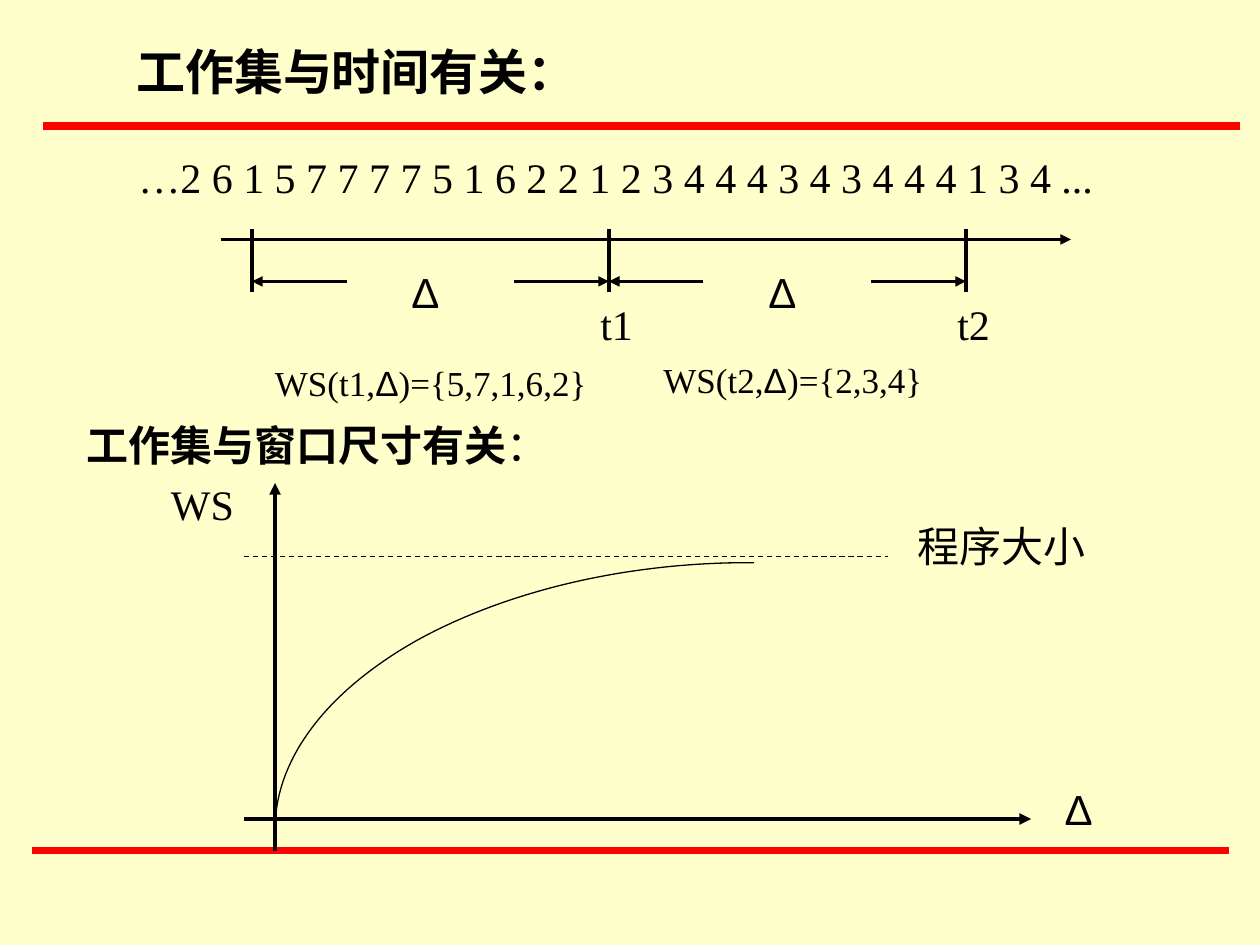
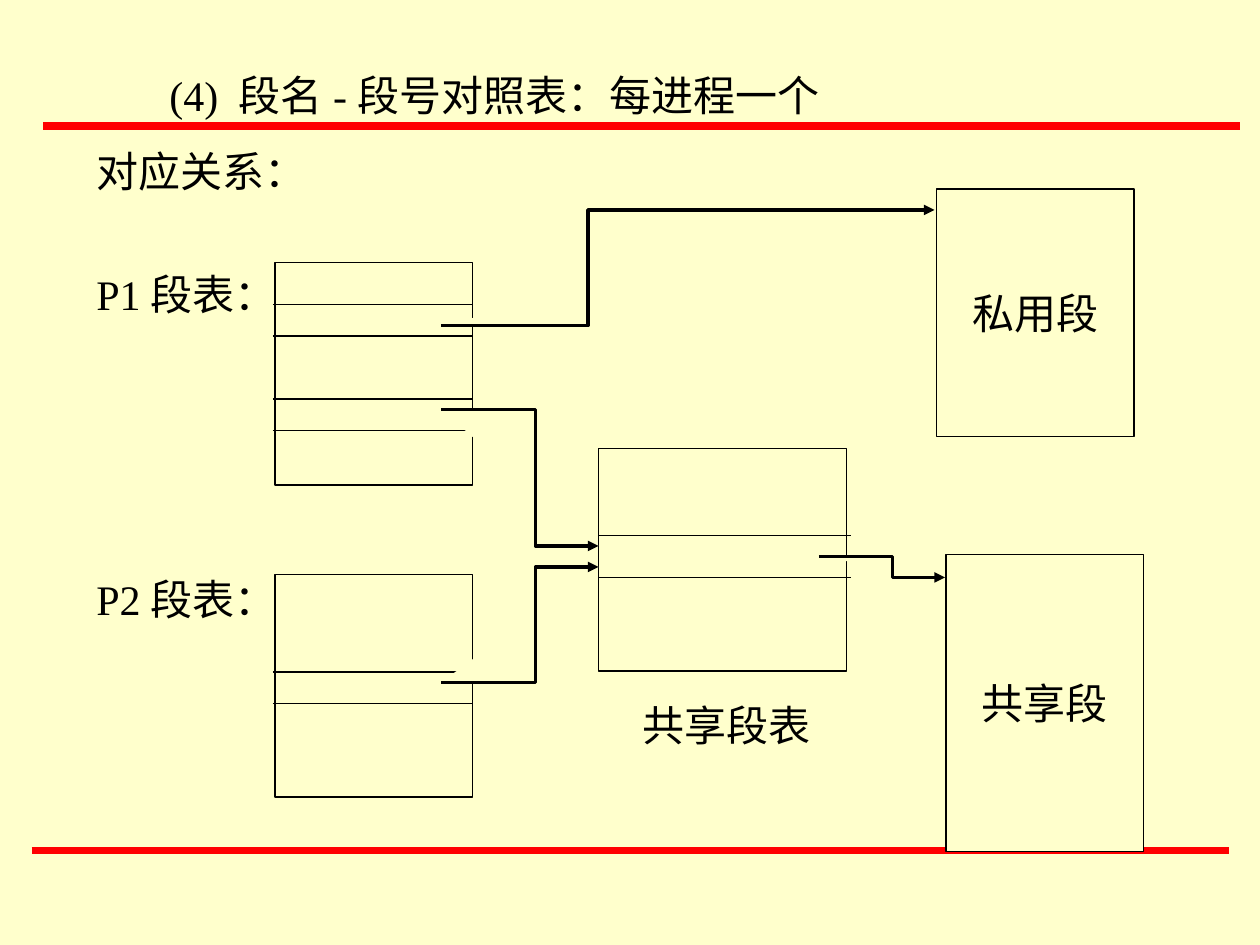
from dataclasses import dataclass

from lxml.etree import SubElement
from pptx import Presentation
from pptx.dml.color import RGBColor
from pptx.enum.dml import MSO_LINE
from pptx.enum.shapes import MSO_CONNECTOR, MSO_SHAPE
from pptx.enum.text import MSO_ANCHOR, MSO_AUTO_SIZE, PP_ALIGN
from pptx.oxml.ns import qn
from pptx.util import Inches, Pt


@dataclass(frozen=True)
class Theme:
    paper: RGBColor = RGBColor(0xFF, 0xFF, 0xCC)
    ink: RGBColor = RGBColor(0, 0, 0)
    band: RGBColor = RGBColor(0xFF, 0, 0)
    serif: str = "Times New Roman"
    sans: str = "Arial"
    title: int = 28
    body: int = 24
    formula: int = 20
    band_line: float = 4.5
    axis_line: float = 2.25
    arrow_line: float = 2
    tick_line: float = 1.75
    thin_line: float = 0.75
    paragraph_gap: int = 15


THEME = Theme()
COLUMNS, ROWS = 120, 90
WIDTH, HEIGHT = Inches(10), Inches(7.5)

BANDS = [((4.1, 12), (118.1, 12)), ((3, 81), (117, 81))]

DELTA = "Δ"
REFERENCES = "…2 6 1 5 7 7 7 7 5 1 6 2 2 1 2 3 4 4 4 3 4 3 4 4 4 1 3 4 ..."
WINDOW_START, WINDOW_WIDTH, WINDOW_COUNT = 24, 34, 2
TIMELINE_ROW, TICK_TOP, TICK_BOTTOM, WINDOW_ROW = 22.8, 21.8, 27.8, 26.8
WINDOW_ARROW = 9
HEADINGS = [
    ((11.8, 3.4, 97, 6.8), "工作集与时间有关", "：", THEME.title, True),
    ((7.1, 39.4, 97, 6), "工作集与窗口尺寸有关", "：", THEME.body, False),
]
WORKING_SETS = [
    ((25, 33.8, 33, 5.3), "WS(t1,", ")={5,7,1,6,2}"),
    ((62, 33.6, 33, 5.3), "WS(t2,", ")={2,3,4}"),
]
PLOT_LABELS = [
    ((86.2, 49, 23, 6), "程序大小"),
    ((100.2, 74, 9, 6), DELTA),
    ((15.1, 45, 12, 6), "WS"),
]
PLOT_AXES = [((23.2, 78), (98.2, 78)), ((26.2, 81), (26.2, 46))]
PROGRAM_SIZE = ((23.2, 53), (84.6, 53))
GROWTH_CURVE = [
    ((71.8, 53.6), (59.8, 53.5), (48.2, 56.3), (39.7, 61)),
    ((39.7, 61), (31.2, 65.8), (26.2, 72.2), (26.2, 79)),
]
CURVE_STEPS = 30

SEGMENT_TITLE = ["(4) 段名-段号对照表：每进程一个", "对应关系："]
SEGMENT_TITLE_BOX = (8, 6, 84, 13.3)
TITLE_INDENT = Inches(0.58)
SEGMENT_TABLES = [
    ((26.2, 25, 18.8, 21.2), (26, 45), (29, 32, 38, 41)),
    ((26.2, 54.7, 18.8, 21.2), (26, 45), (64, 67)),
    ((57, 42.7, 23.6, 21.2), (57, 81), (51, 55)),
]
SEGMENTS = [
    ((89.2, 18, 18.8, 23.6), "私用段"),
    ((90.1, 52.8, 18.8, 28.3), "共享段"),
]
TABLE_LABELS = [
    ((60, 66, 20, 6), "共享段表"),
    ((8, 25, 17, 6), "P1段表："),
    ((8, 54, 16, 6), "P2段表："),
]
REFERENCE_ARROWS = [
    ((42, 31), (56, 20), 89),
    ((42, 39), (51, 52), 57),
    ((42, 65), (51, 54), 57),
    ((78, 53), (85, 55), 90),
]


def grid_x(column):
    return round(WIDTH * column / COLUMNS)


def grid_y(row):
    return round(HEIGHT * row / ROWS)


def grid_point(point):
    return grid_x(point[0]), grid_y(point[1])


def grid_box(box):
    return (*grid_point(box[:2]), *grid_point(box[2:]))


def set_line(shape, width, color=THEME.ink, arrow=False, dash=None):
    shape.line.color.rgb = color
    shape.line.width = Pt(width)
    if dash:
        shape.line.dash_style = dash
    if arrow:
        outline = shape.line._get_or_add_ln()
        SubElement(outline, qn("a:tailEnd"), type="triangle")


def add_line(slide, ends, width, **style):
    start, end = ends
    shape = slide.shapes.add_connector(
        MSO_CONNECTOR.STRAIGHT, *grid_point(start), *grid_point(end)
    )
    set_line(shape, width, **style)
    SubElement(shape._element.spPr, qn("a:effectLst"))


def add_path(slide, points, width, fill=None, arrow=False):
    start, *others = [grid_point(point) for point in points]
    builder = slide.shapes.build_freeform(*start)
    builder.add_line_segments(others, close=False)
    shape = builder.convert_to_shape()
    shape.shadow.inherit = False
    if fill is None:
        shape.fill.background()
    else:
        shape.fill.solid()
        shape.fill.fore_color.rgb = fill
    set_line(shape, width, arrow=arrow)


def add_run(paragraph, text, size=THEME.body, bold=False):
    run = paragraph.add_run()
    run.text = text
    run.font.name = THEME.sans if text == DELTA else THEME.serif
    run.font.size = Pt(size)
    run.font.bold = bold
    run.font.color.rgb = THEME.ink


def add_text(slide, box, *texts, size=THEME.body):
    shape = slide.shapes.add_textbox(*grid_box(box))
    frame = shape.text_frame
    frame.word_wrap = True
    frame.auto_size = MSO_AUTO_SIZE.SHAPE_TO_FIT_TEXT
    for text in texts:
        add_run(frame.paragraphs[0], text, size)
    return shape


def add_rectangle(slide, box, text=None):
    shape = slide.shapes.add_shape(MSO_SHAPE.RECTANGLE, *grid_box(box))
    shape.shadow.inherit = False
    shape.fill.solid()
    shape.fill.fore_color.rgb = THEME.paper
    set_line(shape, THEME.thin_line)
    if text:
        frame = shape.text_frame
        frame.vertical_anchor = MSO_ANCHOR.MIDDLE
        paragraph = frame.paragraphs[0]
        paragraph.alignment = PP_ALIGN.CENTER
        add_run(paragraph, text)


def add_slide(presentation):
    slide = presentation.slides.add_slide(presentation.slide_layouts[6])
    slide.background.fill.solid()
    slide.background.fill.fore_color.rgb = THEME.paper
    for ends in BANDS:
        add_line(slide, ends, THEME.band_line, color=THEME.band)
    return slide


def curve_points(segments):
    for start, pull, push, end in segments:
        for step in range(CURVE_STEPS + 1):
            t = step / CURVE_STEPS
            u = 1 - t
            yield tuple(
                u**3 * a + 3 * u * u * t * b + 3 * u * t * t * c + t**3 * d
                for a, b, c, d in zip(start, pull, push, end)
            )


def draw_timeline(slide):
    add_text(slide, (12, 13.8, 101, 6), REFERENCES)
    timeline = ((21, TIMELINE_ROW), (102, TIMELINE_ROW))
    add_line(slide, timeline, THEME.arrow_line, arrow=True)
    for index in range(WINDOW_COUNT + 1):
        column = WINDOW_START + index * WINDOW_WIDTH
        tick = ((column, TICK_TOP), (column, TICK_BOTTOM))
        add_line(slide, tick, THEME.tick_line)
        if index:
            add_text(slide, (column - 2, TICK_BOTTOM, 6, 6), f"t{index}")
            left = column - WINDOW_WIDTH
            for edge, inner in (
                (left, left + WINDOW_ARROW),
                (column, column - WINDOW_ARROW),
            ):
                ends = ((inner, WINDOW_ROW), (edge, WINDOW_ROW))
                add_line(slide, ends, THEME.arrow_line, arrow=True)
            add_text(slide, (left + 14, 24.8, 7, 6), DELTA)
    for box, before, after in WORKING_SETS:
        add_text(slide, box, before, DELTA, after, size=THEME.formula)


def draw_growth_plot(slide):
    for ends in PLOT_AXES:
        add_line(slide, ends, THEME.axis_line, arrow=True)
    add_line(slide, PROGRAM_SIZE, THEME.thin_line, dash=MSO_LINE.DASH)
    for box, text in PLOT_LABELS:
        add_text(slide, box, text)
    add_path(slide, curve_points(GROWTH_CURVE), THEME.thin_line)


def build_working_set_slide(presentation):
    slide = add_slide(presentation)
    draw_timeline(slide)
    for box, heading, colon, size, bold_colon in HEADINGS:
        shape = add_text(slide, box)
        paragraph = shape.text_frame.paragraphs[0]
        add_run(paragraph, heading, size, True)
        add_run(paragraph, colon, size, bold_colon)
    draw_growth_plot(slide)


def build_segment_slide(presentation):
    slide = add_slide(presentation)
    title, subtitle = SEGMENT_TITLE
    frame = add_text(slide, SEGMENT_TITLE_BOX, title).text_frame
    properties = frame.paragraphs[0]._p.get_or_add_pPr()
    properties.set("indent", str(TITLE_INDENT))
    paragraph = frame.add_paragraph()
    paragraph.space_before = Pt(THEME.paragraph_gap)
    add_run(paragraph, subtitle)
    for box, (left, right), rows in SEGMENT_TABLES:
        add_rectangle(slide, box)
        for row in rows:
            add_line(slide, ((left, row), (right, row)), THEME.thin_line)
    for box, text in SEGMENTS:
        add_rectangle(slide, box, text)
    for box, text in TABLE_LABELS:
        shape = add_text(slide, box, text)
        shape.fill.solid()
        shape.fill.fore_color.rgb = THEME.paper
    for (left, top), (bend, bottom), right in REFERENCE_ARROWS:
        points = [(left, top), (bend, top), (bend, bottom), (right, bottom)]
        add_path(slide, points, THEME.arrow_line, fill=THEME.paper, arrow=True)


def main():
    presentation = Presentation()
    presentation.slide_width = WIDTH
    presentation.slide_height = HEIGHT
    build_working_set_slide(presentation)
    build_segment_slide(presentation)
    presentation.save("out.pptx")


if __name__ == "__main__":
    main()
